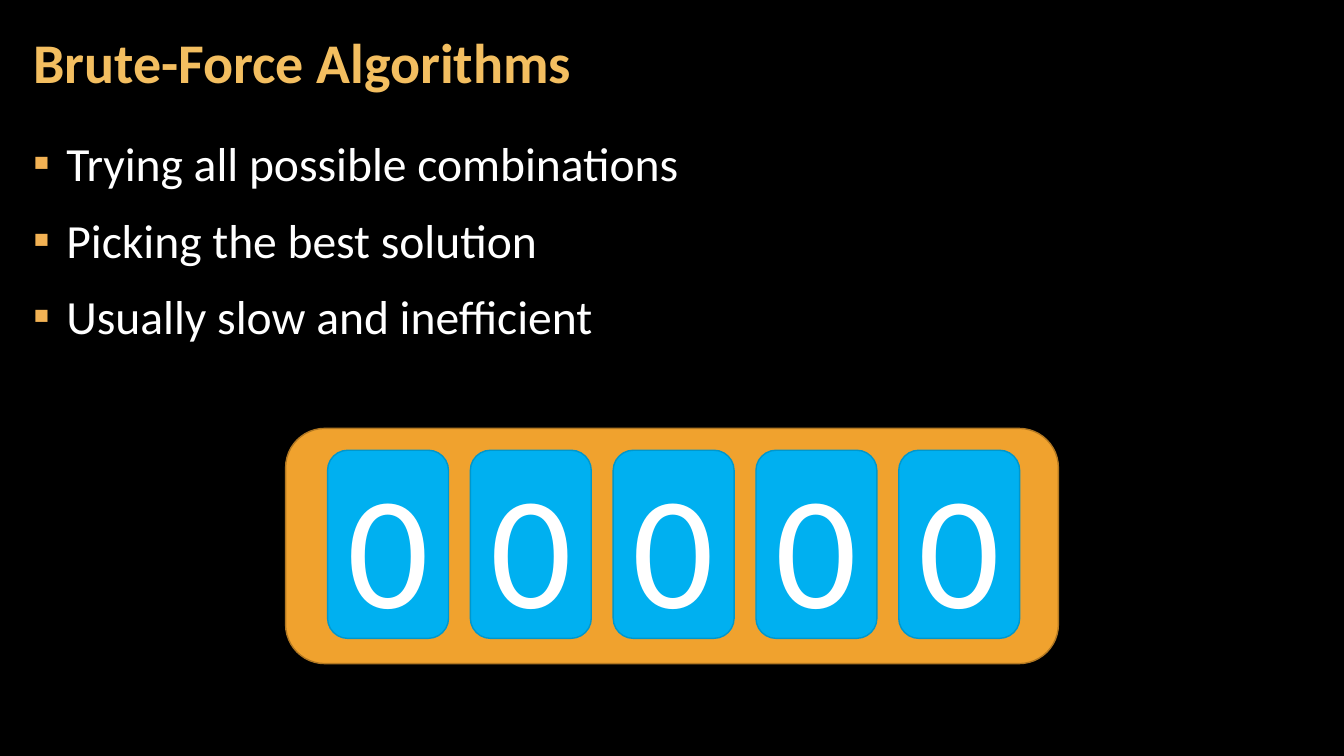
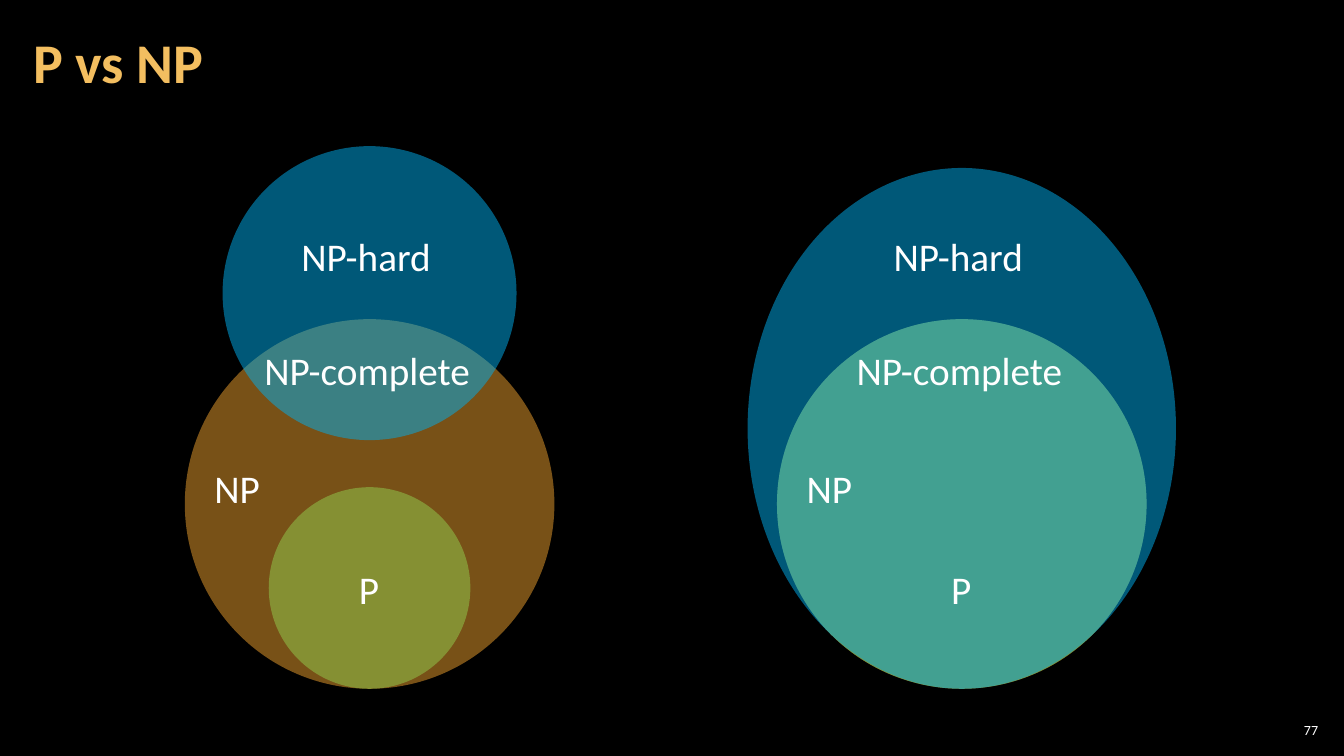
"""Build two slides on brute-force algorithms and on P versus NP."""
from lxml import etree
from pptx import Presentation
from pptx import util as u
from pptx.dml.color import RGBColor
from pptx.enum import shapes, text
from pptx.oxml import ns

COLUMNS, ROWS = 160, 90
CELL = u.Pt(6)
FONT = "Calibri"
BLACK = RGBColor(0x00, 0x00, 0x00)
WHITE = RGBColor(0xFF, 0xFF, 0xFF)
GOLD = RGBColor(0xF3, 0xBE, 0x60)
BULLET_GOLD = RGBColor(0xF2, 0xB2, 0x54)
ORANGE = RGBColor(0xF0, 0xA2, 0x2E)
DARK_ORANGE = RGBColor(0xB2, 0x78, 0x22)
BLUE = RGBColor(0x00, 0xB0, 0xF0)
DARK_BLUE = RGBColor(0x00, 0x97, 0xCC)
GREEN = RGBColor(0x92, 0xD0, 0x50)

TITLE_BOX = (2.5, 0.5, 125.6, 14.5)
BODY_BOX = (2.5, 15.1, 154.9, 73.1)
NUMBER_BOX = (151.8, 85.7, 5.6, 2.5)
PLACEHOLDER_INSETS = (0.12, 0.04)
LABEL_HEIGHT = 6.8
CLASS_LABELS = [
    ("P", 0, 70.1, 4.9),
    ("NP", -15.7, 58.1, 7.9),
    ("NP-complete", 0, 44, 27.4),
    ("NP-hard", 0, 30.5, 18.6),
]


def grid(*cells):
    """Turn grid cells into slide lengths."""
    return [u.Emu(round(cell * CELL)) for cell in cells]


def set_insets(frame, horizontal, vertical):
    """Set the side and the top and bottom insets of a text frame."""
    frame.margin_left = frame.margin_right = u.Inches(horizontal)
    frame.margin_top = frame.margin_bottom = u.Inches(vertical)


def add_run(paragraph, content, size, color=WHITE, bold=False):
    """Add one formatted run to a paragraph."""
    run = paragraph.add_run()
    run.text = content
    run.font.name = FONT
    run.font.size = u.Pt(size)
    run.font.bold = bold
    run.font.color.rgb = color


def prepare_placeholder(shape, box, anchor):
    """Place a placeholder and return its text frame."""
    shape.left, shape.top, shape.width, shape.height = grid(*box)
    frame = shape.text_frame
    frame.word_wrap = True
    frame.auto_size = text.MSO_AUTO_SIZE.NONE
    frame.vertical_anchor = anchor
    set_insets(frame, *PLACEHOLDER_INSETS)
    return frame


def add_titled_slide(presentation, layout_name, title):
    """Add a slide with the shared title style."""
    layout = presentation.slide_layouts.get_by_name(layout_name)
    slide = presentation.slides.add_slide(layout)
    frame = prepare_placeholder(slide.shapes.title, TITLE_BOX, text.MSO_ANCHOR.MIDDLE)
    paragraph = frame.paragraphs[0]
    paragraph.alignment = text.PP_ALIGN.LEFT
    paragraph.line_spacing = 0.9
    add_run(paragraph, title, 40, GOLD, bold=True)
    return slide


def add_bullet(paragraph):
    """Give a paragraph a square bullet and a hanging indent."""
    properties = paragraph._p.get_or_add_pPr()
    indent = u.Inches(0.33)
    properties.set("marL", str(indent))
    properties.set("indent", str(-indent))
    color = etree.SubElement(properties, ns.qn("a:buClr"))
    etree.SubElement(color, ns.qn("a:srgbClr"), val=str(BULLET_GOLD))
    etree.SubElement(properties, ns.qn("a:buFont"), typeface=FONT)
    etree.SubElement(properties, ns.qn("a:buChar"), char="▪")


def fill_list(shape, items):
    """Write a bulleted list into the body placeholder."""
    frame = prepare_placeholder(shape, BODY_BOX, text.MSO_ANCHOR.TOP)
    for index, item in enumerate(items):
        paragraph = frame.add_paragraph() if index else frame.paragraphs[0]
        add_bullet(paragraph)
        paragraph.line_spacing = 1.05
        paragraph.space_before = u.Pt(6 if index else 0)
        paragraph.space_after = u.Pt(6)
        add_run(paragraph, item, 34)


def add_panel(slide, box, fill, line):
    """Add an outlined rounded rectangle."""
    panel = slide.shapes.add_shape(shapes.MSO_SHAPE.ROUNDED_RECTANGLE, *grid(*box))
    panel.shadow.inherit = False
    panel.fill.solid()
    panel.fill.fore_color.rgb = fill
    panel.line.color.rgb = line
    panel.line.width = u.Pt(1)
    return panel


def add_counter(slide, digits):
    """Add a frame holding one tile per digit."""
    add_panel(slide, (34, 51, 92, 28), ORANGE, DARK_ORANGE)
    for index, digit in enumerate(digits):
        tile = add_panel(slide, (39 + 17 * index, 53.6, 14.4, 22.4), BLUE, DARK_BLUE)
        frame = tile.text_frame
        frame.vertical_anchor = text.MSO_ANCHOR.MIDDLE
        paragraph = frame.paragraphs[0]
        paragraph.alignment = text.PP_ALIGN.CENTER
        add_run(paragraph, digit, 115)


def add_set(slide, center, top, width, height, color):
    """Add a half-transparent ellipse centred on a column."""
    box = grid(center - width / 2, top, width, height)
    ellipse = slide.shapes.add_shape(shapes.MSO_SHAPE.OVAL, *box)
    ellipse.shadow.inherit = False
    ellipse.line.fill.background()
    ellipse.fill.solid()
    ellipse.fill.fore_color.rgb = color
    color_element = ellipse._element.spPr.find(".//" + ns.qn("a:srgbClr"))
    etree.SubElement(color_element, ns.qn("a:alpha"), val="50000")


def add_label(slide, content, center, middle, width):
    """Add a one-line label around a point."""
    box = grid(center - width / 2, middle - LABEL_HEIGHT / 2, width, LABEL_HEIGHT)
    frame = slide.shapes.add_textbox(*box).text_frame
    frame.word_wrap = False
    frame.auto_size = text.MSO_AUTO_SIZE.SHAPE_TO_FIT_TEXT
    add_run(frame.paragraphs[0], content, 28)


def add_class_diagram(slide, center, sets):
    """Add the sets of one case and their class labels."""
    for top, width, height, color in sets:
        add_set(slide, center, top, width, height, color)
    for content, offset, middle, width in CLASS_LABELS:
        add_label(slide, content, center + offset, middle, width)


def add_slide_number(slide, number):
    """Add the slide number in the lower right corner."""
    frame = slide.shapes.add_textbox(*grid(*NUMBER_BOX)).text_frame
    frame.word_wrap = True
    frame.vertical_anchor = text.MSO_ANCHOR.MIDDLE
    set_insets(frame, 0.04, 0.04)
    paragraph = frame.paragraphs[0]
    paragraph.alignment = text.PP_ALIGN.RIGHT
    add_run(paragraph, number, 10)


def main():
    """Build and save the presentation."""
    presentation = Presentation()
    presentation.slide_width, presentation.slide_height = grid(COLUMNS, ROWS)
    background = presentation.slide_master.background.fill
    background.solid()
    background.fore_color.rgb = BLACK

    slide = add_titled_slide(presentation, "Title and Content", "Brute-Force Algorithms")
    fill_list(slide.placeholders[1], [
        "Trying all possible combinations",
        "Picking the best solution",
        "Usually slow and inefficient",
    ])
    add_counter(slide, "00000")

    slide = add_titled_slide(presentation, "Title Only", "P vs NP")
    add_class_diagram(slide, 44, [
        (38, 44, 44, ORANGE),
        (58, 24, 24, GREEN),
        (17.4, 35, 35, BLUE),
    ])
    add_class_diagram(slide, 114.5, [
        (38, 44, 44, ORANGE),
        (38, 44, 44, GREEN),
        (20, 51, 62, BLUE),
    ])
    add_slide_number(slide, "77")
    presentation.save("out.pptx")


if __name__ == "__main__":
    main()
